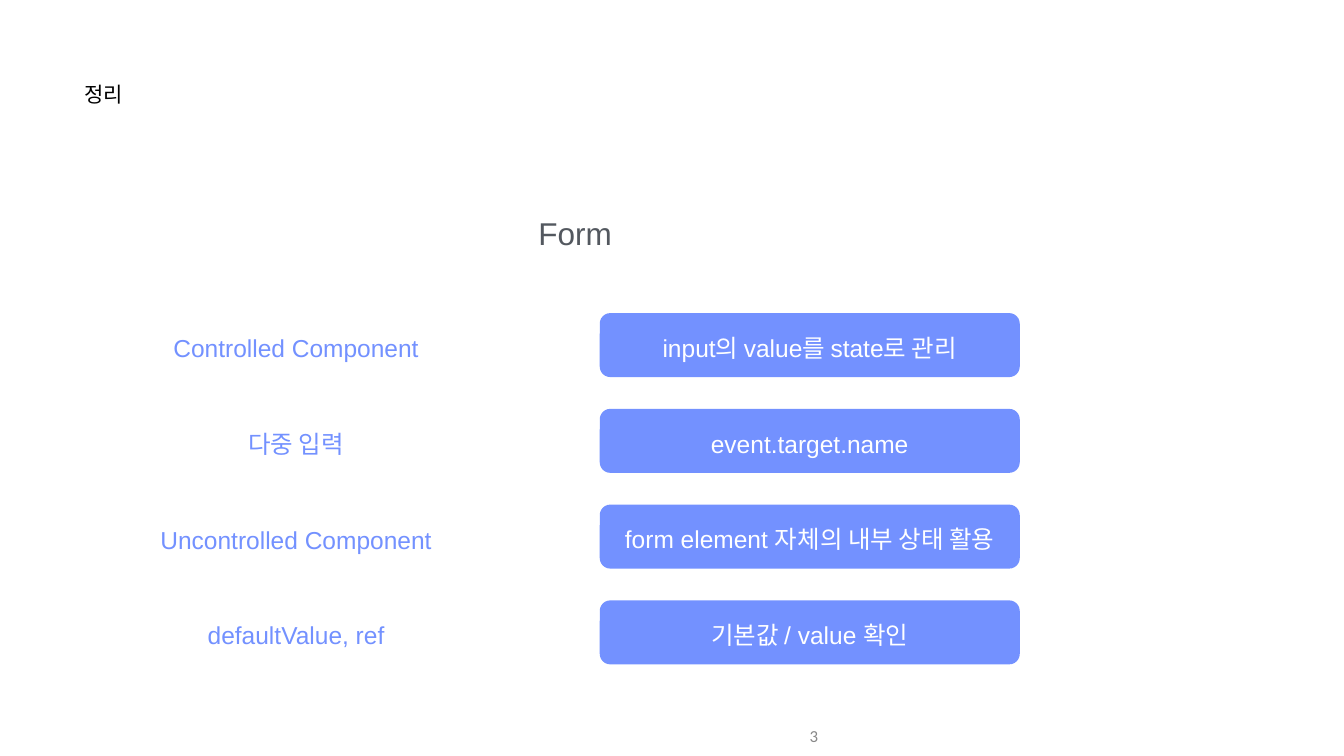
"""Build the summary slide on forms: four topics, each with its key point on a card."""
from pptx import Presentation
from pptx.dml.color import RGBColor
from pptx.enum.shapes import MSO_SHAPE as Shape
from pptx.enum.text import MSO_ANCHOR as Anchor, MSO_AUTO_SIZE as AutoSize, PP_ALIGN as Align
from pptx.util import Inches, Pt

WIDTH, HEIGHT = Inches(26.66), Inches(15)
COLUMN, ROW = WIDTH / 32, HEIGHT / 24
COLORS = {
    "title": "000000",
    "heading": "53585F",
    "accent": "7391FF",
    "card_text": "FFFFFF",
    "number": "888888",
}
TOPICS = [
    ("Controlled Component", "input의 value를 state로 관리"),
    ("다중 입력", "event.target.name"),
    ("Uncontrolled Component", "form element 자체의 내부 상태 활용"),
    ("defaultValue, ref", "기본값 / value 확인"),
]
FIRST_ROW, ROW_STEP = 9.94, 3.04


def color(name):
    """Return the named colour."""
    return RGBColor.from_string(COLORS[name])


def grid(left, top, width, height):
    """Turn columns and rows into slide lengths."""
    return int(left * COLUMN), int(top * ROW), int(width * COLUMN), int(height * ROW)


def write(box, text, size, tint, align=Align.CENTER, anchor=Anchor.MIDDLE,
          font="Arial", inset=0.01):
    """Write one formatted line into a box."""
    frame = box.text_frame
    frame.word_wrap = True
    frame.auto_size = AutoSize.NONE
    frame.vertical_anchor = anchor
    frame.margin_left = frame.margin_right = Inches(inset)
    frame.margin_top = frame.margin_bottom = Inches(0.01)
    para = frame.paragraphs[0]
    para.alignment = align
    span = para.add_run()
    span.text = text
    span.font.name = font
    span.font.size = Pt(size)
    span.font.color.rgb = color(tint)


def add_title(page, text):
    """Place and fill the title placeholder."""
    box = page.shapes.title
    box.left, box.top, box.width, box.height = grid(2, 2.56, 5.83, 1.89)
    write(box, text, 30, "title", Align.LEFT, Anchor.TOP)


def add_label(page, place, text, size, tint, **style):
    """Add a text box on the grid."""
    write(page.shapes.add_textbox(*grid(*place)), text, size, tint, **style)


def add_card(page, place, text):
    """Add a rounded card holding a key point."""
    card = page.shapes.add_shape(Shape.ROUNDED_RECTANGLE, *grid(*place))
    card.adjustments[0] = 0.164
    card.shadow.inherit = False
    card.fill.solid()
    card.fill.fore_color.rgb = color("accent")
    card.line.fill.background()
    write(card, text, 35, "card_text")
    card.text_frame.margin_top = Inches(0.11)


def main():
    """Build and save the deck."""
    deck = Presentation()
    deck.slide_width, deck.slide_height = WIDTH, HEIGHT
    page = deck.slides.add_slide(deck.slide_layouts.get_by_name("Title Only"))
    add_title(page, "정리")
    add_label(page, (3.17, 6.78, 21.05, 1.26), "Form", 45, "heading", anchor=Anchor.TOP)
    for index, (topic, point) in enumerate(TOPICS):
        top = FIRST_ROW + index * ROW_STEP
        add_label(page, (3.3, top + 0.6, 7.5, 1), topic, 35, "accent")
        add_card(page, (14.28, top, 10, 2.03), point)
    add_label(page, (12.4, 22.74, 7.2, 1.26), "3", 24, "number",
              align=Align.RIGHT, font="Calibri", inset=0.1)
    deck.save("out.pptx")


if __name__ == "__main__":
    main()
